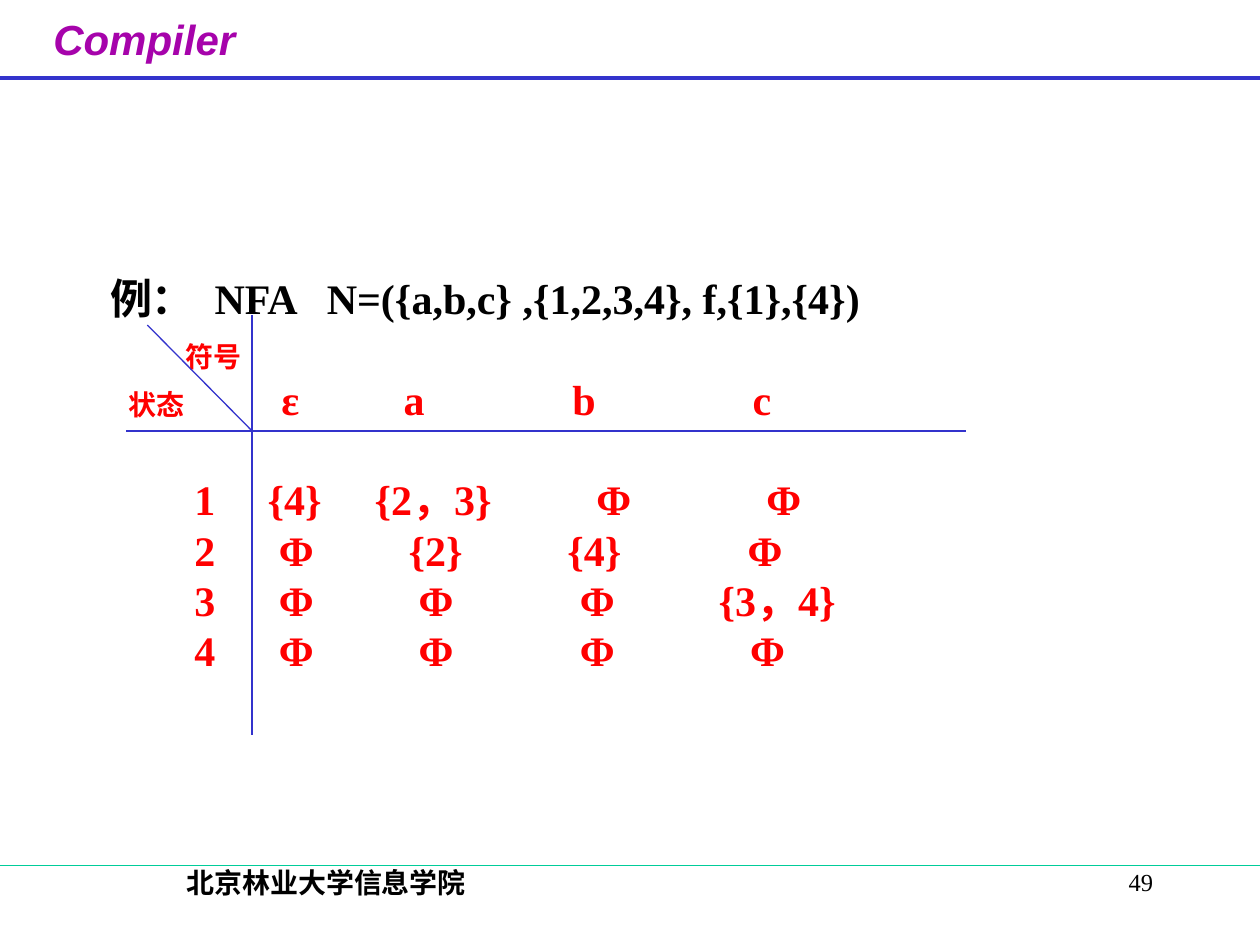
import pptx
import pptx.util
import pptx.dml.color
import pptx.enum.shapes
import pptx.enum.text
import pptx.oxml
from lxml import etree

Inches, Pt = pptx.util.Inches, pptx.util.Pt
ALIGN = pptx.enum.text.PP_ALIGN
HUES = {"ink": "000000", "red": "FF0000", "blue": "3333CC",
        "green": "00CC99", "plum": "A603AB"}
PITCH = Pt(28.75)  # line height of the state table


class Deck:
    """Holds the style and the current slide."""

    def __init__(self):
        self.prs = pptx.Presentation()
        self.prs.slide_width, self.prs.slide_height = Inches(10), Inches(7.5)
        self.slide = self.prs.slides.add_slide(self.prs.slide_layouts[5])

    def hue(self, name):
        return pptx.dml.color.RGBColor.from_string(HUES[name])

    def style(self, font, size, hue, face="Times New Roman", bold=True):
        font.name, font.size, font.bold = face, Pt(size), bold
        font.color.rgb = self.hue(hue)

    def frame(self, shape):
        frame = shape.text_frame
        frame.word_wrap = True
        frame.auto_size = pptx.enum.text.MSO_AUTO_SIZE.NONE
        frame.vertical_anchor = pptx.enum.text.MSO_ANCHOR.TOP
        return frame

    def title(self, text, x, y, w, h):
        box = self.slide.shapes.title
        box.left, box.top, box.width, box.height = map(Inches, (x, y, w, h))
        para = self.frame(box).paragraphs[0]
        para.text, para.alignment = text, ALIGN.CENTER
        self.style(para.font, 24, "plum", "Arial")
        para.font.italic = True

    def label(self, text, x, y, w, h, size, align, bold):
        box = self.slide.shapes.add_textbox(*map(Inches, (x, y, w, h)))
        para = self.frame(box).paragraphs[0]
        para.text, para.alignment = text, align
        self.style(para.font, size, "ink", bold=bold)

    def line(self, x1, y1, x2, y2, hue="blue", width=0.75):
        line = self.slide.shapes.add_connector(
            pptx.enum.shapes.MSO_CONNECTOR.STRAIGHT,
            *map(Inches, (x1, y1, x2, y2)))
        line.line.color.rgb, line.line.width = self.hue(hue), Pt(width)
        etree.SubElement(line._element.spPr, pptx.oxml.ns.qn("a:effectLst"))

    def panel(self, x, y, w, h):
        box = self.slide.shapes.add_shape(
            pptx.enum.shapes.MSO_SHAPE.ROUNDED_RECTANGLE,
            *map(Inches, (x, y, w, h)))
        box.shadow.inherit = False
        box.fill.background()
        box.line.fill.background()
        return self.frame(box)

    def row(self, para, text, stops, size=24, hue="red"):
        """Fill one line whose parts sit at tab stops (in inches)."""
        tabs = etree.SubElement(para._p.get_or_add_pPr(),
                                pptx.oxml.ns.qn("a:tabLst"))
        for stop in stops:
            etree.SubElement(tabs, pptx.oxml.ns.qn("a:tab"),
                             pos=str(Inches(stop)), algn="l")
        para.alignment, para.line_spacing = ALIGN.LEFT, PITCH
        para.text = text
        self.style(para.font, size, hue)


def main():
    deck = Deck()

    # Header and footer
    deck.title("Compiler", 0.19, 0.06, 1.91, 0.6)
    deck.line(0, 0.62, 10, 0.62, width=2.25)
    deck.label("49", 7.17, 6.83, 2.08, 0.5, 14, ALIGN.RIGHT, False)
    deck.label("北京林业大学信息学院", 0.52, 6.82, 4.14, 0.5, 16,
               ALIGN.CENTER, True)
    deck.line(0, 6.87, 10, 6.87, "green")

    # Example and table head
    frame = deck.panel(0.58, 1.92, 8.75, 4)
    deck.row(frame.paragraphs[0],
             "例：\tNFA\tN=({a,b,c} ,{1,2,3,4}, f,{1},{4})",
             (0.83, 1.72), hue="ink")
    deck.row(frame.add_paragraph(), "\t符号", (0.6,), 16)
    head = frame.add_paragraph()
    deck.row(head, "\t状态", (0.15, 1.36, 2.33, 3.67, 5.1), 16)
    marks = head.add_run()
    marks.text = "\tε\ta\tb\tc"
    marks.font.size = Pt(24)

    # Moves of each state, with the places of its four entries
    moves = [
        (("{4}", "{2，3}", "Φ", "Φ"), (1.25, 2.1, 3.86, 5.21)),
        (("Φ", "{2}", "{4}", "Φ"), (1.34, 2.37, 3.63, 5.06)),
        (("Φ", "Φ", "Φ", "{3，4}"), (1.34, 2.45, 3.73, 4.83)),
        (("Φ", "Φ", "Φ", "Φ"), (1.34, 2.45, 3.73, 5.08)),
    ]
    for state, (sets, stops) in enumerate(moves, 1):
        para = frame.add_paragraph()
        deck.row(para, "\t" + "\t".join((str(state), *sets)), (0.67, *stops))
        if state == 1:
            para.space_before = PITCH

    # Table rules
    deck.line(1, 3.42, 7.67, 3.42)
    deck.line(2, 2.5, 2, 5.83)
    deck.line(1.17, 2.58, 2, 3.42)

    deck.prs.save("out.pptx")


if __name__ == "__main__":
    main()
